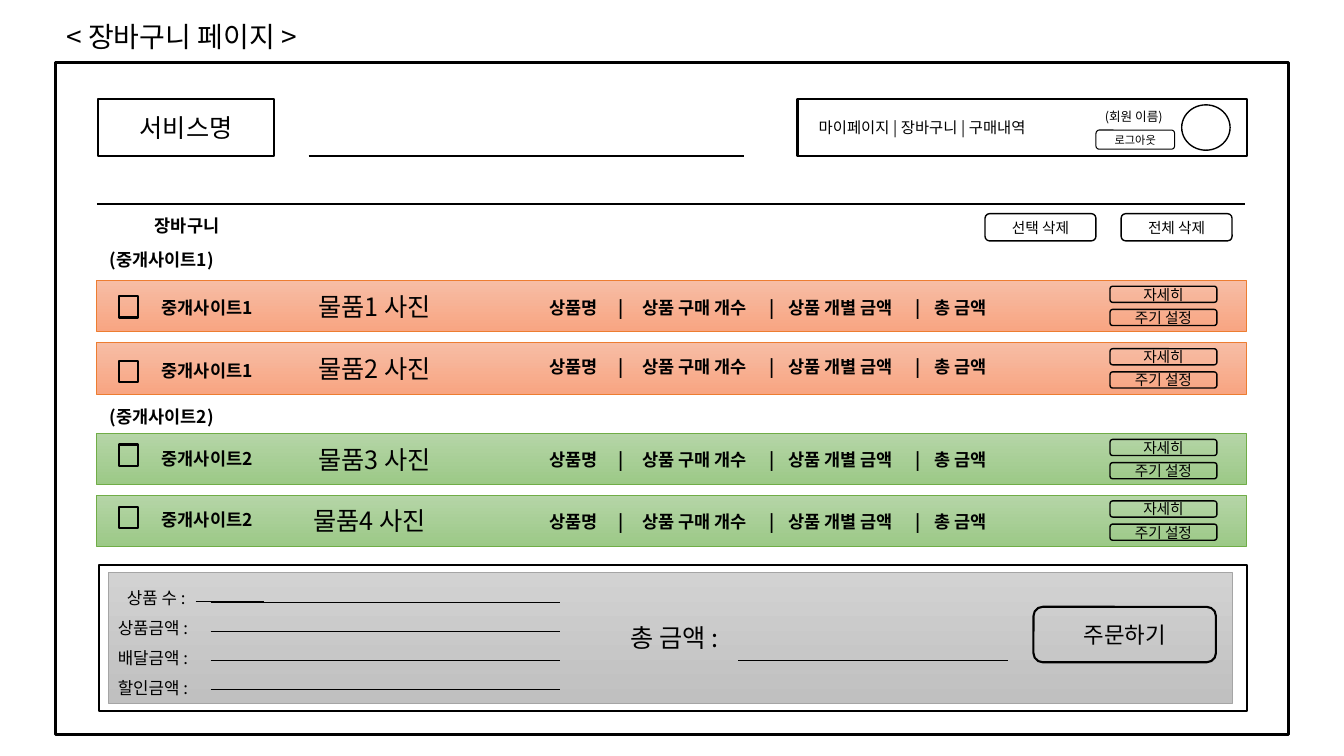
from lxml.etree import SubElement
from pptx import Presentation
from pptx.dml.color import RGBColor
from pptx.enum.shapes import MSO_CONNECTOR, MSO_SHAPE as Shape
from pptx.enum.text import MSO_ANCHOR, PP_ALIGN as Align
from pptx.oxml.ns import qn
from pptx.util import Inches, Pt

FONT = "Noto Sans CJK KR"
COLORS = {
    "ink": "000000",
    "site1": ("F7BDA5", "F8A582"), "site1_edge": "ED7D31",
    "site2": ("B5D5A7", "9CC987"), "site2_edge": "70AD47",
    "summary": ("D2D2D2", "C0C0C0"), "summary_edge": "A5A5A5",
}
CENTER, LEFT = Align.CENTER, Align.LEFT

prs = Presentation()
prs.slide_width, prs.slide_height = Inches(13.33), Inches(7.5)
slide = prs.slides.add_slide(prs.slide_layouts[6])


def add_box(kind, area, text="", size=12, align=CENTER, inset=0, bold=False,
            weight=1, edge="ink", tint=None):
    place = [Inches(length) for length in area]
    if kind is None:
        box = slide.shapes.add_textbox(*place)
    else:
        box = slide.shapes.add_shape(kind, *place)
        box.shadow.inherit = False
        box.line.color.rgb = RGBColor.from_string(COLORS[edge])
        box.line.width = Pt(weight)
        if tint:
            box.fill.gradient()
            box.fill.gradient_angle = 270
            for stop, color in zip(box.fill.gradient_stops, COLORS[tint]):
                stop.color.rgb = RGBColor.from_string(color)
        else:
            box.fill.background()
    if text:
        frame = box.text_frame
        frame.text = text
        frame.word_wrap = True
        frame.vertical_anchor = MSO_ANCHOR.MIDDLE
        frame.margin_left = Inches(inset)
        frame.margin_right = frame.margin_top = frame.margin_bottom = 0
        for paragraph in frame.paragraphs:
            paragraph.alignment = align
            for run in paragraph.runs:
                run.font.size, run.font.bold, run.font.name = Pt(size), bold, FONT
                run.font.color.rgb = RGBColor.from_string(COLORS["ink"])
                SubElement(run.font._element, qn("a:ea")).set("typeface", FONT)
    return box


def add_rule(x1, x2, y, weight=1):
    rule = slide.shapes.add_connector(
        MSO_CONNECTOR.STRAIGHT, Inches(x1), Inches(y), Inches(x2), Inches(y))
    rule.line.color.rgb = RGBColor.from_string(COLORS["ink"])
    rule.line.width = Pt(weight)
    SubElement(rule._element.spPr, qn("a:effectLst"))


add_box(Shape.RECTANGLE, (0.55, 0.62, 12.23, 6.67), weight=2.25)
add_box(None, (0.56, 0.21, 11.5, 0.3), "< 장바구니 페이지 >", 20, LEFT, 0.1)

add_box(Shape.RECTANGLE, (0.97, 0.98, 1.75, 0.57), "서비스명", 18, weight=1.5)
add_rule(3.06, 7.38, 1.55, 1.5)
add_box(Shape.RECTANGLE, (7.91, 0.98, 4.46, 0.57),
        "마이페이지 | 장바구니 | 구매내역", 11, LEFT, 0.21, weight=1.5)
add_box(Shape.OVAL, (11.72, 1.04, 0.48, 0.45))
add_box(None, (10.78, 1.04, 0.93, 0.23), "(회원 이름)", 9)
add_box(Shape.ROUNDED_RECTANGLE, (10.87, 1.29, 0.78, 0.19), "로그아웃", 8, weight=0.75)

add_rule(0.96, 12.35, 2.02, 1.5)
add_box(None, (0.98, 2.02, 1.75, 0.44), "장바구니", 12.5, bold=True)
for column, label in enumerate(("선택 삭제", "전체 삭제")):
    add_box(Shape.ROUNDED_RECTANGLE, (9.77 + 1.35 * column, 2.12, 1.1, 0.27), label, 10.5)

for site, top in ((1, 2.35), (2, 3.91)):
    add_box(None, (0.73, top, 1.75, 0.44), f"(중개사이트{site})", 12.5, bold=True)

cart_rows = [
    (1, 2.78, 2.94, 2.83, 2.83, 2.2),
    (1, 3.4, 3.58, 3.46, 3.42, 2.2),
    (2, 4.3, 4.41, 4.33, 4.34, 2.2),
    (2, 4.91, 5.03, 4.93, 4.95, 2.15),
]
detail_stops = (0.68, 0.92, 2.18, 2.37, 3.63, 3.82)
for item, (site, top, check_top, site_top, detail_top, item_inset) in enumerate(cart_rows, 1):
    add_box(Shape.RECTANGLE, (0.96, top, 11.4, 0.51), f"물품{item} 사진", 18, LEFT,
            item_inset, weight=0.5, edge=f"site{site}_edge", tint=f"site{site}")
    add_box(Shape.RECTANGLE, (1.18, check_top, 0.19, 0.21), weight=1.5)
    add_box(None, (1.18, site_top, 1.75, 0.44), f"중개사이트{site}", 12.5, bold=True)
    details = add_box(None, (4.56, detail_top, 6.15, 0.44),
                      "상품명\t|\t상품 구매 개수\t|\t상품 개별 금액\t|\t총 금액",
                      12.5, LEFT, 0.89, True)
    tabs = SubElement(details.text_frame.paragraphs[0]._p.get_or_add_pPr(), qn("a:tabLst"))
    for stop in detail_stops:
        SubElement(tabs, qn("a:tab"), pos=str(Inches(stop)), algn="l")
    for line, label in enumerate(("자세히", "주기 설정")):
        add_box(Shape.ROUNDED_RECTANGLE, (11.01, top + 0.06 + 0.23 * line, 1.06, 0.16),
                label, 10.5)

summary = add_box(Shape.RECTANGLE, (1.07, 5.68, 11.15, 1.3),
                  "상품 수 :\n상품금액 :\n배달금액 :\n할인금액 :", 12, LEFT, 0.1,
                  weight=0.5, edge="summary_edge", tint="summary")
for paragraph in summary.text_frame.paragraphs:
    paragraph.line_spacing = Pt(21.2)
summary.text_frame.paragraphs[0]._p.get_or_add_pPr().set("indent", str(Inches(0.09)))
add_box(Shape.RECTANGLE, (0.98, 5.61, 11.39, 1.44), weight=1.5)
add_rule(1.94, 2.62, 5.97, 0.75)
for line in range(4):
    add_rule(2.09, 5.55, 5.98 + 0.287 * line)
add_box(None, (6.16, 6.04, 3.43, 0.57), "총 금액 :", 18, LEFT, 0.1)
add_rule(7.32, 10, 6.55)
add_box(Shape.ROUNDED_RECTANGLE, (10.25, 6.02, 1.81, 0.55), "주문하기", 16, weight=1.5)

prs.save("out.pptx")
